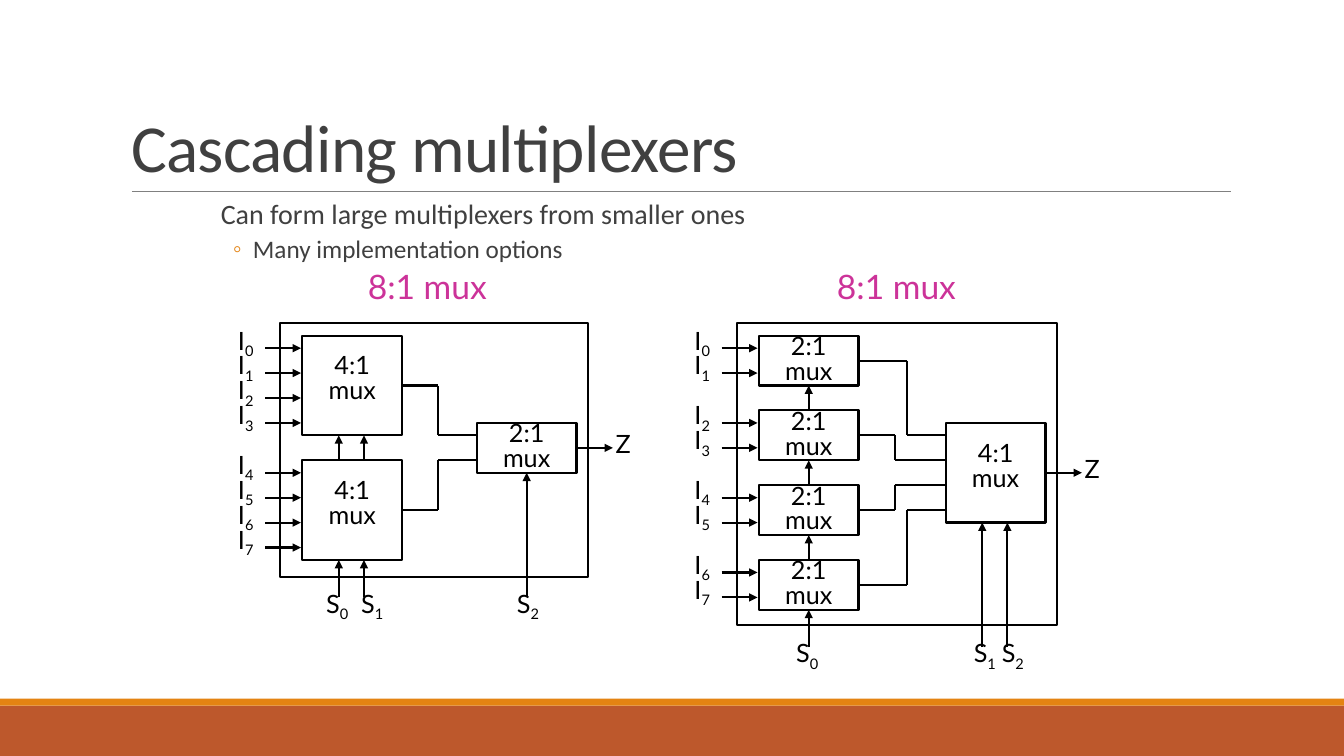
import pptx
import pptx.dml.color
import pptx.enum.shapes
import pptx.enum.text
import pptx.oxml.ns
import pptx.util
from lxml import etree

Pt = pptx.util.Pt
SHAPE = pptx.enum.shapes.MSO_SHAPE
ALIGN = pptx.enum.text.PP_ALIGN
ANCHOR = pptx.enum.text.MSO_ANCHOR
qn = pptx.oxml.ns.qn

COLORS = {"ink": "000000", "paper": "FFFFFF", "text": "404040", "rule": "808080",
          "orange": "E48312", "rust": "BD582C", "heading": "CC3399"}
PITCH = 17.8                # row height; multiplexers are sized in rows
MUX_WIDTH = 4 * PITCH
STUB = 1.5 * PITCH          # length of the input, output and select arrows
SELECT_OFFSETS = {2: [MUX_WIDTH / 2], 4: [26, 44]}


def color(name):
    return pptx.dml.color.RGBColor.from_string(COLORS[name])


def style_runs(paragraph, size, name, font="Lato"):
    for run in paragraph.runs:
        run.font.size = Pt(size)
        run.font.name = font
        run.font.color.rgb = color(name)


def add_box(slide, left, top, width, height, fill=None, line="ink"):
    shape = slide.shapes.add_shape(SHAPE.RECTANGLE, Pt(left), Pt(top), Pt(width), Pt(height))
    shape.shadow.inherit = False
    if fill:
        shape.fill.solid()
        shape.fill.fore_color.rgb = color(fill)
    else:
        shape.fill.background()
    if line:
        shape.line.color.rgb = color(line)
        shape.line.width = Pt(1.5)
    else:
        shape.line.fill.background()
    return shape


def add_line(slide, start, end, arrow=False, begin=None, finish=None, name="ink", width=1.5):
    """begin and finish are (shape, side) pairs to which the line is joined."""
    line = slide.shapes.add_connector(pptx.enum.shapes.MSO_CONNECTOR.STRAIGHT,
                                      Pt(start[0]), Pt(start[1]), Pt(end[0]), Pt(end[1]))
    line.line.color.rgb = color(name)
    line.line.width = Pt(width)
    if arrow:
        etree.SubElement(line.line._get_or_add_ln(), qn("a:tailEnd"), type="triangle")
    etree.SubElement(line._element.spPr, qn("a:effectLst"))
    if begin:
        line.begin_connect(*begin)
    if finish:
        line.end_connect(*finish)


def zero_margins(text_frame):
    text_frame.margin_left = text_frame.margin_right = 0
    text_frame.margin_top = text_frame.margin_bottom = 0


def add_label(slide, left, top, width, signals, size=18, name="ink", spacing=PITCH):
    """Write one (letter, subscript) signal on each line."""
    box = slide.shapes.add_textbox(Pt(left), Pt(top), Pt(width), Pt(spacing * len(signals)))
    box.text_frame.word_wrap = True
    zero_margins(box.text_frame)
    paragraph = box.text_frame.paragraphs[0]
    paragraph.line_spacing = Pt(spacing)
    for row, (letter, subscript) in enumerate(signals):
        if row:
            paragraph.add_line_break()
        paragraph.add_run().text = letter
        if subscript != "":
            run = paragraph.add_run()
            run.text = str(subscript)
            run.font._element.set("baseline", "-25000")
    style_runs(paragraph, size, name)


def add_mux(slide, left, top, inputs):
    mux = add_box(slide, left, top, MUX_WIDTH, inputs * PITCH, "paper")
    frame = mux.text_frame
    zero_margins(frame)
    frame.margin_bottom = Pt(8 if inputs == 4 else 0)
    frame.vertical_anchor = ANCHOR.MIDDLE
    frame.text = f"{inputs}:1\vmux"
    paragraph = frame.paragraphs[0]
    paragraph.alignment = ALIGN.CENTER
    paragraph.line_spacing = Pt(PITCH)
    style_runs(paragraph, 18, "ink")
    return mux


def add_diagram(slide, left, top, width, height, heading_left, inputs, gap, merger_left,
                buses, label_shifts):
    """Draw a bank of multiplexers whose outputs feed one merging multiplexer."""
    add_label(slide, left + heading_left, top - 34, 90, [("8:1 mux", "")], 24, "heading", 22)
    add_box(slide, left, top, width, height)
    x, y = left + 15.8, top + 9.2
    step = (inputs + gap) * PITCH
    count = len(buses)
    merger_x, merger_y = x + merger_left, y + 3.5 * PITCH
    select_end = y + count * step - gap * PITCH + STUB
    merger = add_mux(slide, merger_x, merger_y, count)

    # Bank with its inputs and its wires to the merger
    previous = None
    for index, bus in enumerate(buses):
        mux_y = y + index * step
        mux = add_mux(slide, x, mux_y, inputs)
        signals = [("I", index * inputs + row) for row in range(inputs)]
        add_label(slide, x - 46, mux_y - 1, 22, signals)
        for row in range(inputs):
            row_y = mux_y + (row + 0.5) * PITCH
            add_line(slide, (x - STUB, row_y), (x - 1, row_y), arrow=True)
        output_y = mux_y + inputs * PITCH / 2
        entry_y = merger_y + (index + 0.5) * PITCH
        add_line(slide, (x + MUX_WIDTH, output_y), (x + bus, output_y), begin=(mux, 3))
        add_line(slide, (x + bus, output_y), (x + bus, entry_y))
        add_line(slide, (x + bus, entry_y), (merger_x, entry_y))
        if previous:
            single = inputs == 2
            for offset in SELECT_OFFSETS[inputs]:
                add_line(slide, (x + offset, mux_y), (x + offset, mux_y - gap * PITCH), True,
                         (mux, 0) if single else None, (previous, 2) if single else None)
        previous = mux

    # Select lines, numbered from the bank to the merger
    selects = [(previous, x, select_end - STUB, inputs, offset)
               for offset in SELECT_OFFSETS[inputs]]
    selects += [(merger, merger_x, merger_y + count * PITCH, count, offset)
                for offset in SELECT_OFFSETS[count]]
    for number, (mux, mux_x, bottom, size, offset) in enumerate(selects):
        line_x = mux_x + offset
        add_line(slide, (line_x, select_end), (line_x, bottom), True,
                 finish=(mux, 2) if size == 2 else None)
        add_label(slide, line_x - label_shifts[number], select_end, 24, [("S", number)])

    # Output
    output_x, output_y = merger_x + MUX_WIDTH, merger_y + count * PITCH / 2
    add_line(slide, (output_x, output_y), (output_x + 26, output_y), True, (merger, 3))
    add_label(slide, output_x + 28, output_y - 10, 20, [("Z", "")])


def place(shape, left, top, width, height):
    shape.left, shape.top, shape.width, shape.height = Pt(left), Pt(top), Pt(width), Pt(height)


def add_title(slide, left, top, width, height):
    title = slide.shapes.title
    place(title, left, top, width, height)
    title.text_frame.text = "Cascading multiplexers"
    title.text_frame.vertical_anchor = ANCHOR.BOTTOM
    paragraph = title.text_frame.paragraphs[0]
    paragraph.alignment = ALIGN.LEFT
    paragraph.line_spacing = 0.85
    style_runs(paragraph, 48, "text", "Calibri")
    paragraph.runs[0].font._element.set("spc", "-50")


def add_body(slide, left, top, width, height):
    body = slide.placeholders[1]
    place(body, left, top, width, height)
    frame = body.text_frame
    frame.margin_left = frame.margin_right = 0
    frame.text = "Can form large multiplexers from smaller ones\nMany implementation options"
    formats = [(20, 12, 2, 7.2, 0, None), (18, 2, 4, 30.2, -14.4, "◦")]
    for level, (paragraph, values) in enumerate(zip(frame.paragraphs, formats)):
        size, before, after, margin, indent, bullet = values
        paragraph.level = level
        paragraph.line_spacing = 0.9
        paragraph.space_before, paragraph.space_after = Pt(before), Pt(after)
        style_runs(paragraph, size, "text", "Calibri")
        properties = paragraph._p.get_or_add_pPr()
        properties.set("marL", str(Pt(margin)))
        properties.set("indent", str(Pt(indent)))
        if bullet:
            tint = etree.SubElement(properties, qn("a:buClr"))
            etree.SubElement(tint, qn("a:srgbClr"), val=COLORS["orange"])
            etree.SubElement(properties, qn("a:buChar"), char=bullet)
        else:
            etree.SubElement(properties, qn("a:buNone"))


def add_decoration(slide, width, height):
    add_box(slide, 0, height - 36, width, 36, "rust", None)
    add_box(slide, 0, height - 41, width, 5, "orange", None)
    add_line(slide, (94.3, 136.8), (879, 136.8), name="rule", width=0.5)


def main():
    presentation = pptx.Presentation()
    presentation.slide_width, presentation.slide_height = Pt(960), Pt(540)
    slide = presentation.slides.add_slide(presentation.slide_layouts[1])
    add_decoration(slide, 960, 540)
    add_title(slide, 86.4, 22.3, 792, 114.5)
    add_body(slide, 150.5, 139.7, 616, 84)
    # Two 4:1 into one 2:1, then four 2:1 into one 4:1
    add_diagram(slide, 200.2, 230.6, 219.6, 181.4, 62.5, inputs=4, gap=1,
                merger_left=7 * PITCH, buses=[97, 97], label_shifts=[9, 2, 7])
    add_diagram(slide, 526.3, 230.6, 229, 216, 71.5, inputs=2, gap=1,
                merger_left=7.5 * PITCH, buses=[106, 97, 97, 106], label_shifts=[9, 6, 4])
    presentation.save("out.pptx")


if __name__ == "__main__":
    main()
